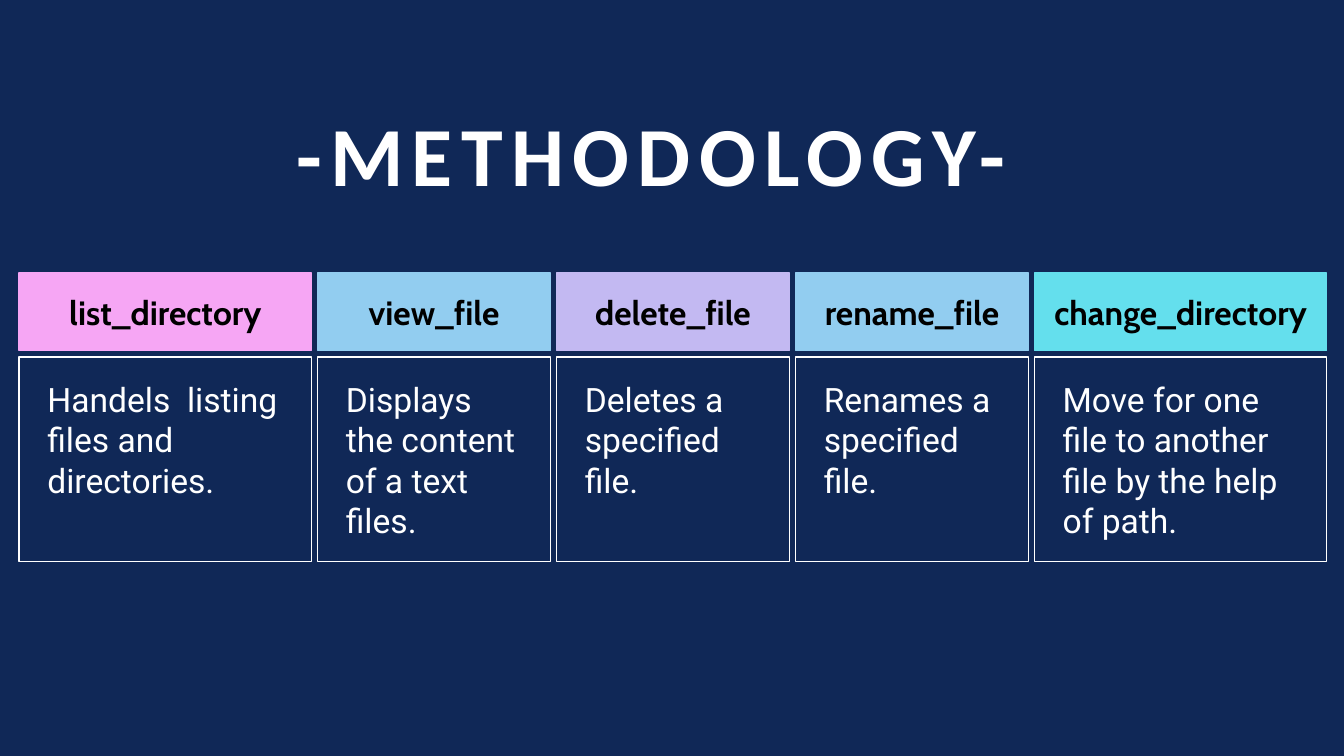
from dataclasses import dataclass

from pptx import Presentation
from pptx.dml.color import RGBColor
from pptx.enum.shapes import MSO_SHAPE
from pptx.enum.text import MSO_ANCHOR, PP_ALIGN
from pptx.util import Inches, Pt


@dataclass(frozen=True)
class Theme:
    """Colours, fonts and type sizes of the slide."""
    navy: str = "102857"
    white: str = "FFFFFF"
    black: str = "000000"
    pink: str = "F6A6F4"
    blue: str = "92CDF0"
    lilac: str = "C3B9F2"
    cyan: str = "64DFED"
    title_font: str = "Calibri"
    heading_font: str = "Cabin"
    body_font: str = "Roboto"
    title_size: int = 60
    text_size: int = 24
    title_tracking: int = 6
    line_width: int = 1


class SlideBuilder:
    """Draws styled elements on one slide."""

    def __init__(self, page, theme):
        """Keep the page and theme and paint the background."""
        self.page = page
        self.theme = theme
        background = page.background.fill
        background.solid()
        background.fore_color.rgb = RGBColor.from_string(theme.navy)

    def set_text(self, box, text, font, size, color, bold=False, align=PP_ALIGN.LEFT):
        """Put one styled paragraph in a box and return it."""
        box.text_frame.word_wrap = True
        para = box.text_frame.paragraphs[0]
        para.add_run().text = text
        para.alignment = align
        para.font.name = font
        para.font.size = Pt(size)
        para.font.bold = bold
        para.font.color.rgb = RGBColor.from_string(color)
        return para

    def title(self, text, left, top, width, height):
        """Add the widely spaced title."""
        theme = self.theme
        box = self.page.shapes.add_textbox(
            Inches(left), Inches(top), Inches(width), Inches(height))
        box.text_frame.vertical_anchor = MSO_ANCHOR.BOTTOM
        para = self.set_text(box, text, theme.title_font, theme.title_size,
                             theme.white, True, PP_ALIGN.CENTER)
        para.line_spacing = 0.9
        for span in para.runs:
            span._r.get_or_add_rPr().set("spc", str(theme.title_tracking * 100))

    def panel(self, left, top, width, height, line, fill=None):
        """Add an outlined rectangle, filled when a fill is given."""
        box = self.page.shapes.add_shape(
            MSO_SHAPE.RECTANGLE, Inches(left), Inches(top), Inches(width), Inches(height))
        box.shadow.inherit = False
        box.line.color.rgb = RGBColor.from_string(line)
        box.line.width = Pt(self.theme.line_width)
        if fill:
            box.fill.solid()
            box.fill.fore_color.rgb = RGBColor.from_string(fill)
        else:
            box.fill.background()
        return box

    def heading(self, text, color, left, top, width, height):
        """Add a coloured column heading."""
        theme = self.theme
        box = self.panel(left, top, width, height, color, color)
        box.text_frame.vertical_anchor = MSO_ANCHOR.MIDDLE
        self.set_text(box, text, theme.heading_font, theme.text_size,
                      theme.black, True, PP_ALIGN.CENTER)

    def description(self, text, left, top, width, height):
        """Add an outlined description under a heading."""
        theme = self.theme
        box = self.panel(left, top, width, height, theme.white)
        frame = box.text_frame
        frame.vertical_anchor = MSO_ANCHOR.TOP
        frame.margin_left = Inches(0.28)
        frame.margin_top = Inches(0.22)
        frame.margin_right = Inches(0.3)
        frame.margin_bottom = Inches(0.05)
        self.set_text(box, text, theme.body_font, theme.text_size, theme.white)


def main():
    """Build and save the methodology slide."""
    deck = Presentation()
    deck.slide_width = Inches(13.33)
    deck.slide_height = Inches(7.5)
    theme = Theme()
    slide = SlideBuilder(deck.slides.add_slide(deck.slide_layouts[6]), theme)
    slide.title("-METHODOLOGY-", 1.4, 0.91, 10.12, 1.17)

    outer, inner, gap = 2.9, 2.31, 0.06
    columns = [
        ("list_directory", "Handels  listing files and directories.", theme.pink, outer),
        ("view_file", "Displays the content of a text files.", theme.blue, inner),
        ("delete_file", "Deletes a specified file.", theme.lilac, inner),
        ("rename_file", "Renames a specified file.", theme.blue, inner),
        ("change_directory", "Move for one file to another file by the help of path.",
         theme.cyan, outer),
    ]
    left, top, heading_height, description_height = 0.19, 2.71, 0.77, 2.03
    for name, description, color, width in columns:
        slide.heading(name, color, left, top, width, heading_height)
        slide.description(description, left, top + heading_height + gap,
                          width, description_height)
        left += width + gap

    deck.save("out.pptx")


if __name__ == "__main__":
    main()
